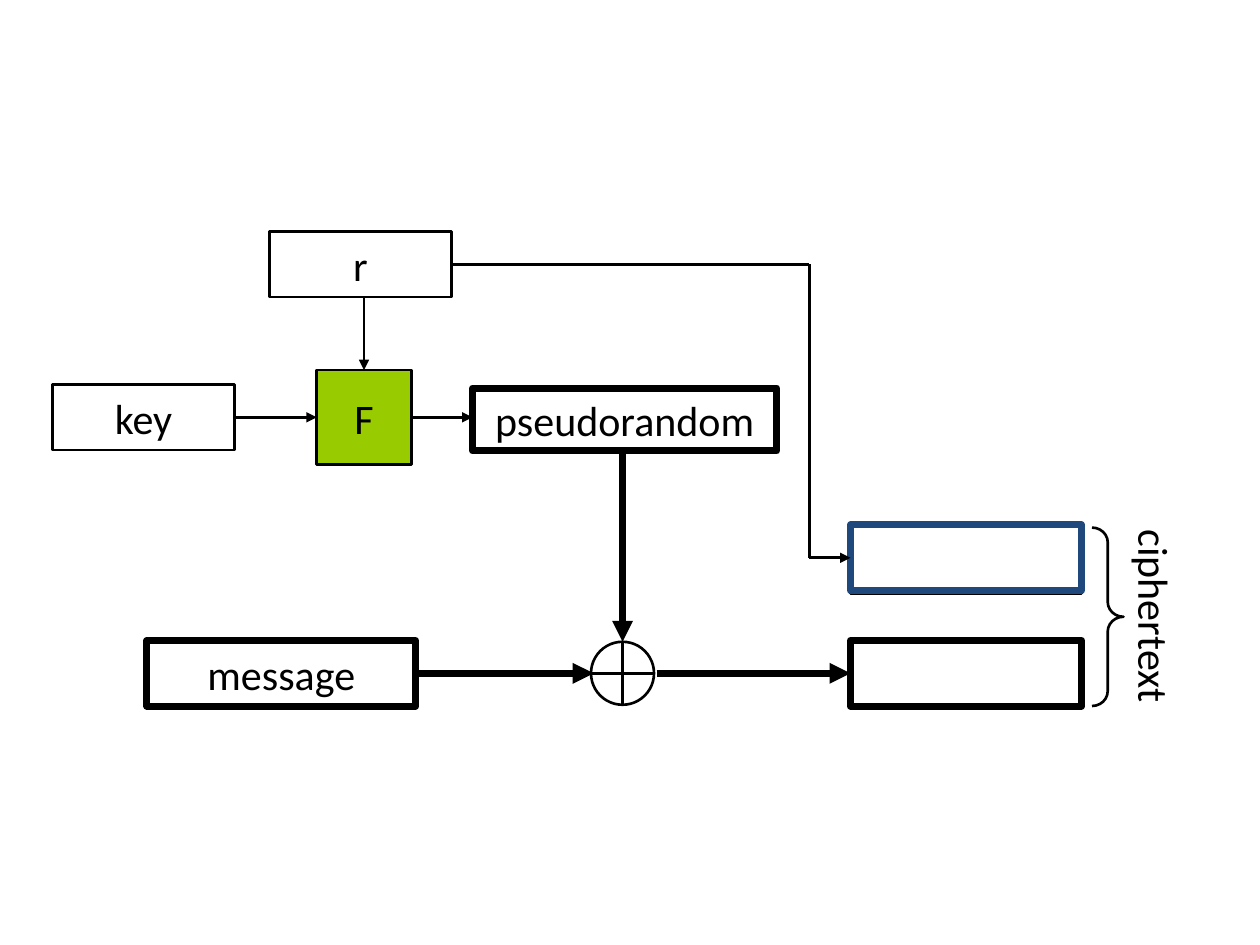
from pptx import Presentation
from pptx.dml.color import RGBColor
from pptx.enum.shapes import MSO_CONNECTOR as Connector, MSO_SHAPE as Shape
from pptx.enum.text import MSO_ANCHOR as Anchor, PP_ALIGN as Align
from pptx.oxml.ns import qn
from pptx.util import Pt
from lxml.etree import SubElement

THEME = {
    "font": "Calibri", "size": 24, "thin": 1.5, "thick": 4,
    "black": "000000", "white": "FFFFFF", "green": "99CC00", "blue": "1F497D",
}
TOP, LEFT, BOTTOM, RIGHT = range(4)
CIPHER_X, CIPHER_WIDTH, BOX_HEIGHT = 486, 132, 37.5
XOR_X, XOR_Y, XOR_RADIUS = 355.75, 384.75, 18
KEY_Y, NONCE_Y, TURN_X, NONCE_OUT_Y = 238.5, 151, 462.5, 318.75

BOXES = {
    "key": ("key", (30, 219.75, 104, BOX_HEIGHT), "white", "black", "thin"),
    "function": ("F", (181, 211.5, 54, 54), "green", "black", "thin"),
    "nonce": ("r", (154, 132.25, 104, BOX_HEIGHT), "white", "black", "thin"),
    "pad": ("pseudorandom", (270, 221.75, 174, 36), "white", "black", "thick"),
    "message": ("message", (84, 366, 153.5, BOX_HEIGHT), "white", "black", "thick"),
    "nonce base": ("", (CIPHER_X, 301.5, CIPHER_WIDTH, BOX_HEIGHT), "white", "black", "thin"),
    "nonce out": ("", (CIPHER_X, 300, CIPHER_WIDTH, BOX_HEIGHT), "white", "blue", "thick"),
    "masked out": ("", (CIPHER_X, 366, CIPHER_WIDTH, BOX_HEIGHT), "white", "black", "thick"),
}

# Each end is a point or a (box name, side) pair.
LINES = [
    (("key", RIGHT), ("function", LEFT), "thin", True),
    (("function", RIGHT), (270, KEY_Y), "thin", True),
    ((208, 169.75), ("function", TOP), "thin", True),
    (("nonce", RIGHT), (TURN_X, NONCE_Y), "thin", False),
    ((TURN_X, NONCE_Y), (TURN_X, NONCE_OUT_Y), "thin", False),
    ((TURN_X, NONCE_OUT_Y), ("nonce out", LEFT), "thin", True),
    ((XOR_X, 257.75), (XOR_X, XOR_Y - XOR_RADIUS), "thick", True),
    (("message", RIGHT), (XOR_X - XOR_RADIUS + 1.5, XOR_Y), "thick", True),
    ((XOR_X + XOR_RADIUS + 1.5, XOR_Y), ("masked out", LEFT), "thick", True),
    ((XOR_X - XOR_RADIUS, XOR_Y), (XOR_X + XOR_RADIUS, XOR_Y), "thin", False),
    ((XOR_X, XOR_Y - XOR_RADIUS), (XOR_X, XOR_Y + XOR_RADIUS), "thin", False),
]


def color(name):
    return RGBColor.from_string(THEME[name])


def write(shape, text, align=Align.CENTER, anchor=Anchor.MIDDLE, wrap=True):
    frame = shape.text_frame
    frame.word_wrap = wrap
    frame.vertical_anchor = anchor
    para = frame.paragraphs[0]
    para.alignment = align
    span = para.add_run()
    span.text = text
    span.font.name = THEME["font"]
    span.font.size = Pt(THEME["size"])
    span.font.color.rgb = color("black")


def add_shape(slide, kind, place, fill, line, width):
    shape = slide.shapes.add_shape(kind, *map(Pt, place))
    shape.shadow.inherit = False
    if fill:
        shape.fill.solid()
        shape.fill.fore_color.rgb = color(fill)
    else:
        shape.fill.background()
    shape.line.color.rgb = color(line)
    shape.line.width = Pt(THEME[width])
    return shape


def add_line(slide, boxes, start, end, width, arrow):
    points = [(0, 0) if spot[0] in boxes else spot for spot in (start, end)]
    line = slide.shapes.add_connector(
        Connector.STRAIGHT, *(Pt(value) for point in points for value in point))
    for spot, join in ((start, line.begin_connect), (end, line.end_connect)):
        if spot[0] in boxes:
            join(boxes[spot[0]], spot[1])
    line.line.color.rgb = color("black")
    line.line.width = Pt(THEME[width])
    if arrow:
        SubElement(line.line._get_or_add_ln(), qn("a:tailEnd"), type="triangle")
    SubElement(line._element.spPr, qn("a:effectLst"))


def main():
    deck = Presentation()
    deck.slide_width, deck.slide_height = Pt(720), Pt(540)
    slide = deck.slides.add_slide(deck.slide_layouts[6])

    boxes = {}
    for name, (text, place, fill, line, width) in BOXES.items():
        boxes[name] = add_shape(slide, Shape.RECTANGLE, place, fill, line, width)
        if text:
            write(boxes[name], text, wrap=name != "function")

    circle = (XOR_X - XOR_RADIUS, XOR_Y - XOR_RADIUS, 2 * XOR_RADIUS, 2 * XOR_RADIUS)
    add_shape(slide, Shape.OVAL, circle, "white", "black", "thin")
    for line in LINES:
        add_line(slide, boxes, *line)

    brace = add_shape(slide, Shape.RIGHT_BRACE, (624, 301.5, 18, 102), None, "black", "thin")
    brace.adjustments[0] = 0.47
    label = slide.shapes.add_textbox(Pt(600.5), Pt(337), Pt(119), Pt(36))
    label.rotation = 90
    write(label, "ciphertext", align=Align.LEFT, anchor=Anchor.TOP)

    deck.save("out.pptx")


if __name__ == "__main__":
    main()
